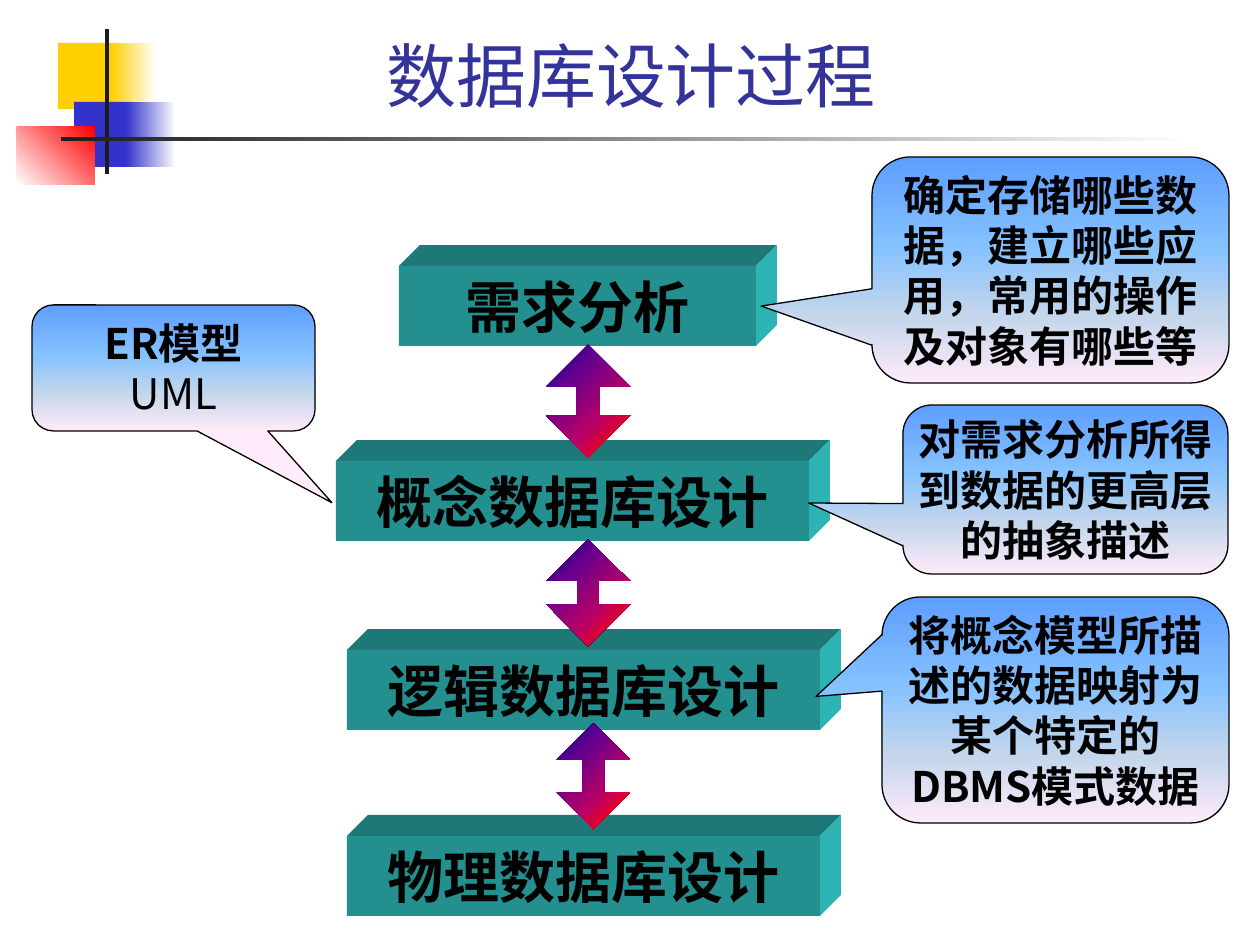
from lxml import etree
from pptx import Presentation
from pptx.dml.color import RGBColor
from pptx.enum.shapes import MSO_SHAPE
from pptx.enum.text import MSO_ANCHOR, PP_ALIGN
from pptx.oxml.ns import qn
from pptx.util import Pt

RECTANGLE = MSO_SHAPE.RECTANGLE
CALLOUT = MSO_SHAPE.ROUNDED_RECTANGULAR_CALLOUT
ARROW = MSO_SHAPE.UP_DOWN_ARROW
MIDDLE, BOTTOM = MSO_ANCHOR.MIDDLE, MSO_ANCHOR.BOTTOM
CENTER = PP_ALIGN.CENTER

SCALE = 914400 / 126
BODY_FONT, TITLE_FONT = "Noto Sans CJK JP", "Cabin"
BLACK = RGBColor(0, 0, 0)
WHITE = RGBColor(0xFF, 0xFF, 0xFF)
YELLOW = RGBColor(0xFF, 0xCF, 0x01)
BLUE = RGBColor(0x33, 0x33, 0xCC)
RED = RGBColor(0xFF, 0, 0)
CHARCOAL = RGBColor(0x1C, 0x1C, 0x1C)
TITLE_BLUE = RGBColor(0x33, 0x33, 0x99)
FRONT = RGBColor(0x24, 0x8F, 0x8F)
TOP = RGBColor(0x1F, 0x78, 0x78)
SIDE = RGBColor(0x2D, 0xB3, 0xB3)
SKY_STOPS = [(0, RGBColor(0x5E, 0x9E, 0xFF)), (40, RGBColor(0x85, 0xC2, 0xFF)),
             (70, RGBColor(0xC4, 0xD6, 0xEB)), (100, RGBColor(0xFF, 0xEB, 0xFA))]
FIRE_STOPS = [(0, RGBColor(0, 0, 0x82)), (30, RGBColor(0x66, 0, 0x8F)),
              (65, RGBColor(0xBA, 0, 0x66)), (90, RED),
              (100, RGBColor(0xFF, 0x82, 0))]

TITLE = "数据库设计过程"
TITLE_BOX = (94, 20, 1074, 103)
DECORATIONS = [
    ((58, 43, 60, 66), YELLOW, 0),
    ((111, 43, 45, 66), [(0, YELLOW), (100, WHITE)], 0),
    ((74, 102, 58, 65), BLUE, 0),
    ((126, 102, 50, 65), [(0, BLUE), (100, WHITE)], 0),
    ((17, 127, 78, 58), [(0, WHITE), (100, RED)], 315),
    ((105, 29, 4, 145), CHARCOAL, 0),
    ((61, 137, 1134, 4), [(0, CHARCOAL), (100, WHITE)], 0),
]
STEP_HEIGHT, DEPTH = 80, 21
STEPS = [
    ("需求分析", 399, 266, 357),
    ("概念数据库设计", 336, 461, 473),
    ("逻辑数据库设计", 347, 650, 473),
    ("物理数据库设计", 347, 836, 473),
]
CALLOUTS = [
    ([("确定存储哪些数据，建立哪些应用，常用的操作及对象有哪些等", True)],
     (872, 157, 357, 226), (-0.81, 0.16, 0.17)),
    ([("对需求分析所得到数据的更高层的抽象描述", True)],
     (903, 405, 325, 169), (-0.79, 0.08, 0.17)),
    ([("将概念模型所描述的数据映射为某个特定的DBMS模式数据", True)],
     (882, 597, 347, 226), (-0.69, -0.06, 0.17)),
    ([("ER模型", True), ("UML", False)],
     (32, 305, 283, 126), (0.56, 1.07, 0.17)),
]
ARROWS = [
    ((546, 345, 84, 113), (0.32, 0.27)),
    ((546, 539, 84, 107), (0.32, 0.26)),
    ((557, 723, 73, 106), (0.32, 0.29)),
]


def px(value):
    return round(value * SCALE)


def paint(shape, fill, angle=0, outline=None):
    shape.shadow.inherit = False
    if isinstance(fill, list):
        shape.fill.gradient()
        shape.fill.gradient_angle = -angle % 360
        stops = shape._element.spPr.find(qn("a:gradFill")).find(qn("a:gsLst"))
        for stop in list(stops):
            stops.remove(stop)
        for position, color in fill:
            stop = etree.SubElement(stops, qn("a:gs"), pos=str(position * 1000))
            etree.SubElement(stop, qn("a:srgbClr"), val=str(color))
    else:
        shape.fill.solid()
        shape.fill.fore_color.rgb = fill
    if outline is None:
        shape.line.fill.background()
    else:
        shape.line.color.rgb = outline
        shape.line.width = Pt(0.75)


def add_block(slide, kind, box, fill, angle=0, outline=None, adjustments=()):
    shape = slide.shapes.add_shape(kind, *map(px, box))
    for index, value in enumerate(adjustments):
        shape.adjustments[index] = value
    paint(shape, fill, angle, outline)
    return shape


def add_face(slide, points, fill):
    builder = slide.shapes.build_freeform(*points[0], scale=SCALE)
    builder.add_line_segments(points[1:], close=True)
    paint(builder.convert_to_shape(), fill)


def write(shape, lines, size, color=BLACK, font=BODY_FONT, anchor=MIDDLE, inset=0, wrap=True):
    frame = shape.text_frame
    frame.word_wrap = wrap
    frame.vertical_anchor = anchor
    frame.margin_left = frame.margin_right = px(inset)
    frame.margin_top = frame.margin_bottom = px(inset / 2)
    for index, (text, bold) in enumerate(lines):
        paragraph = frame.add_paragraph() if index else frame.paragraphs[0]
        paragraph.alignment = CENTER
        run = paragraph.add_run()
        run.text = text
        run.font.name = font
        run.font.size = Pt(size)
        run.font.bold = bold
        run.font.color.rgb = color
        east_asian = etree.Element(qn("a:ea"), typeface=BODY_FONT)
        run.font._element.find(qn("a:latin")).addnext(east_asian)


def add_step(slide, text, left, top, width):
    right, bottom = left + width, top + STEP_HEIGHT
    back_top, back_right = top - DEPTH, right + DEPTH
    add_face(slide, [(left, top), (left + DEPTH, back_top),
                     (back_right, back_top), (right, top)], TOP)
    add_face(slide, [(right, top), (back_right, back_top),
                     (back_right, bottom - DEPTH), (right, bottom)], SIDE)
    front = add_block(slide, RECTANGLE, (left, top, width, STEP_HEIGHT), FRONT)
    write(front, [(text, True)], 32)


def main():
    presentation = Presentation()
    presentation.slide_width, presentation.slide_height = px(1260), px(945)
    slide = presentation.slides.add_slide(presentation.slide_layouts[5])

    for box, fill, angle in DECORATIONS:
        add_block(slide, RECTANGLE, box, fill, angle)

    title = slide.shapes.title
    title.left, title.top, title.width, title.height = map(px, TITLE_BOX)
    write(title, [(TITLE, False)], 40, color=TITLE_BLUE, font=TITLE_FONT,
          anchor=BOTTOM, inset=12)

    for step in STEPS:
        add_step(slide, *step)
    for lines, box, adjustments in CALLOUTS:
        callout = add_block(slide, CALLOUT, box, SKY_STOPS, 90, BLACK, adjustments)
        write(callout, lines, 24, wrap=len(lines) == 1)
    for box, adjustments in ARROWS:
        add_block(slide, ARROW, box, FIRE_STOPS, 45, adjustments=adjustments)

    presentation.save("out.pptx")


if __name__ == "__main__":
    main()
